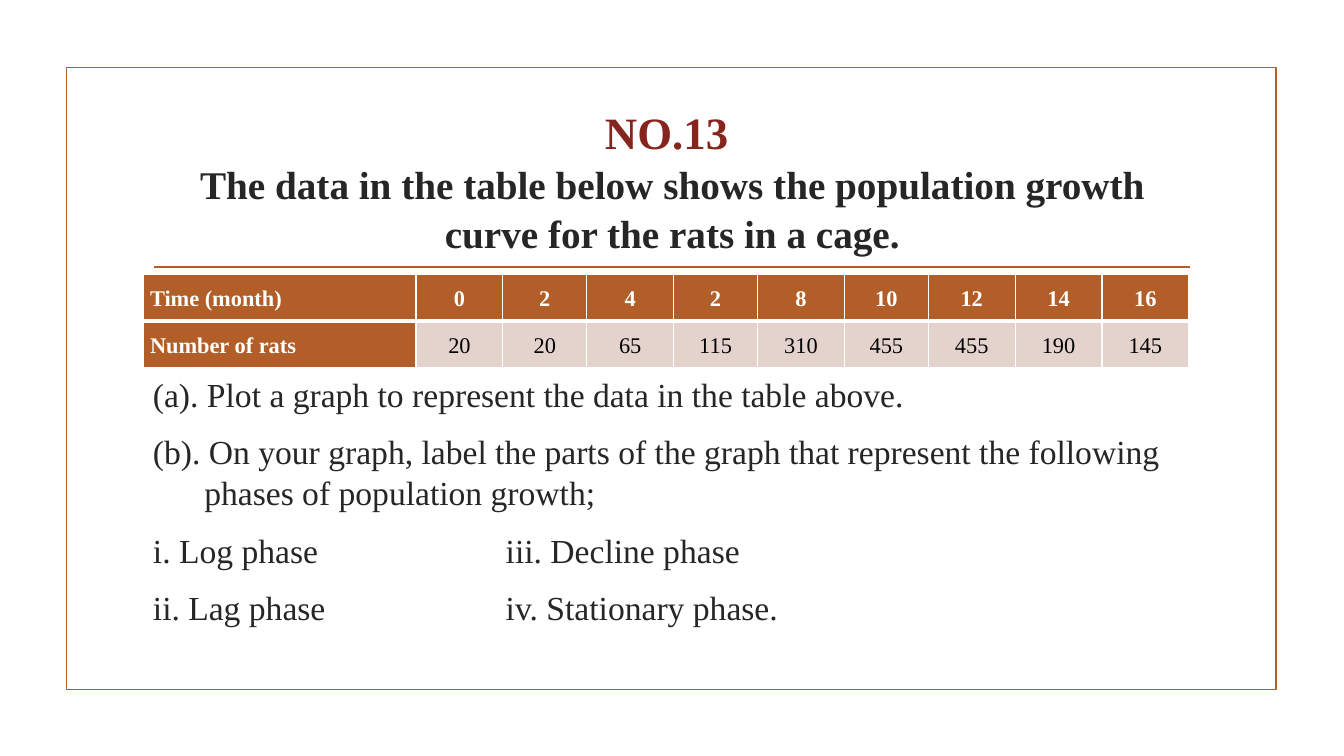
import pptx
import pptx.util
import pptx.dml.color
import pptx.enum.shapes
import pptx.enum.text
import pptx.oxml
import pptx.oxml.ns
from lxml import etree

Pt = pptx.util.Pt
ALIGN = pptx.enum.text.PP_ALIGN
ANCHOR = pptx.enum.text.MSO_ANCHOR

# Content
NUMBER = "NO.13 "
HEADING = "The data in the table below shows the population growth curve for the rats in a cage."
QUESTIONS = [
    ("(a). Plot a graph to represent the data in the table above.", 0),
    ("(b). On your graph, label the parts of the graph that represent the following "
     "phases of population growth;", 36.7),
    ("i. Log phase\tiii. Decline phase", 0),
    ("ii. Lag phase\tiv. Stationary phase.", 0),
]
RATS = [
    ("Time (month)", 0, 2, 4, 2, 8, 10, 12, 14, 16),
    ("Number of rats", 20, 20, 65, 115, 310, 455, 455, 190, 145),
]

THEME = {
    "font": "Times New Roman",
    "accent": "B15E28", "number": "85251E", "text": "262626",
    "pale": "E4D2CD", "white": "FFFFFF", "black": "000000",
    "number_size": 32, "heading_size": 28, "body_size": 24, "table_size": 16,
    "line": 1.25,
}

# Layout in points: left, top, width, height
FRAME = (47.5, 48.2, 864, 444.3)
TITLE = (102.2, 77, 756, 103)
RULE = (110.2, 190.8, 850.3, 190.8)
BODY = (102.2, 262.1, 756, 208.8)
TABLE_AT = (102.2, 195.8)
COLUMNS = [195, 62, 60, 62, 60, 62, 60, 62, 62, 62]
ROW_HEIGHT = 33.3
SECOND_COLUMN_TAB = 252


def color(name):
    return pptx.dml.color.RGBColor.from_string(THEME[name])


def points(values):
    return [Pt(value) for value in values]


def apply(target, formats):
    for name, value in formats.items():
        setattr(target, name, value)


def add_span(para, text, size, ink, bold=False):
    span = para.add_run()
    span.text = text
    apply(span.font, {"name": THEME["font"], "size": Pt(THEME[size]), "bold": bold})
    span.font.color.rgb = color(ink)


def add_tab(para, position):
    properties = para._p.get_or_add_pPr()
    tabs = etree.SubElement(properties, pptx.oxml.ns.qn("a:tabLst"))
    etree.SubElement(tabs, pptx.oxml.ns.qn("a:tab"), pos=str(Pt(position)), algn="l")


def set_border(cell, side, width):
    properties = cell._tc.get_or_add_tcPr()
    edge = pptx.oxml.parse_xml(
        f'<a:ln{side} {pptx.oxml.ns.nsdecls("a")} w="{Pt(width)}"><a:solidFill>'
        f'<a:srgbClr val="{THEME["white"]}"/></a:solidFill></a:ln{side}>')
    properties.append(edge)


def add_frame(page):
    frame = page.shapes.add_shape(pptx.enum.shapes.MSO_SHAPE.RECTANGLE, *points(FRAME))
    frame.shadow.inherit = False
    frame.fill.background()
    rule = page.shapes.add_connector(pptx.enum.shapes.MSO_CONNECTOR.STRAIGHT, *points(RULE))
    etree.SubElement(rule._element.spPr, pptx.oxml.ns.qn("a:effectLst"))
    for shape in (frame, rule):
        shape.line.color.rgb = color("accent")
        shape.line.width = Pt(THEME["line"])


def add_title(page):
    title = page.shapes.title
    apply(title, dict(zip(("left", "top", "width", "height"), points(TITLE))))
    apply(title.text_frame, {"word_wrap": True, "vertical_anchor": ANCHOR.MIDDLE,
                             "auto_size": pptx.enum.text.MSO_AUTO_SIZE.NONE})
    para = title.text_frame.paragraphs[0]
    apply(para, {"alignment": ALIGN.CENTER, "line_spacing": 1.04})
    add_span(para, NUMBER, "number_size", "number", True)
    para.add_line_break()
    add_span(para, HEADING, "heading_size", "text", True)


def add_questions(page):
    box = page.shapes.add_textbox(*points(BODY))
    box.text_frame.word_wrap = True
    for index, (text, hang) in enumerate(QUESTIONS):
        para = box.text_frame.paragraphs[0] if index == 0 else box.text_frame.add_paragraph()
        apply(para, {"space_before": Pt(4.8), "space_after": Pt(6), "line_spacing": 1.04})
        if hang:
            properties = para._p.get_or_add_pPr()
            properties.set("marL", str(Pt(hang)))
            properties.set("indent", str(-Pt(hang)))
        if "\t" in text:
            add_tab(para, SECOND_COLUMN_TAB)
        add_span(para, text, "body_size", "text")


def add_rat_table(page):
    size = (sum(COLUMNS), ROW_HEIGHT * len(RATS))
    table = page.shapes.add_table(len(RATS), len(COLUMNS), *points(TABLE_AT + size)).table
    apply(table, {"first_col": True, "horz_banding": False})
    for column, width in zip(table.columns, COLUMNS):
        column.width = Pt(width)
    for r, values in enumerate(RATS):
        table.rows[r].height = Pt(ROW_HEIGHT)
        for c, value in enumerate(values):
            cell = table.cell(r, c)
            header = r == 0 or c == 0
            apply(cell, {"margin_left": Pt(5), "margin_right": Pt(5), "margin_top": 0,
                         "margin_bottom": 0, "vertical_anchor": ANCHOR.MIDDLE})
            # Thick white gap between the two rows, thin elsewhere
            for side, width in {"L": 1, "R": 1, "T": 3 if r else 1, "B": 1 if r else 3}.items():
                set_border(cell, side, width)
            cell.fill.solid()
            cell.fill.fore_color.rgb = color("accent" if header else "pale")
            para = cell.text_frame.paragraphs[0]
            apply(para, {"alignment": ALIGN.CENTER if c else ALIGN.JUSTIFY,
                         "line_spacing": 1.15, "space_before": Pt(12)})
            add_span(para, str(value), "table_size", "white" if header else "black", header)


def main():
    deck = pptx.Presentation()
    apply(deck, {"slide_width": Pt(960), "slide_height": Pt(540)})
    page = deck.slides.add_slide(deck.slide_layouts.get_by_name("Title Only"))
    add_frame(page)
    add_title(page)
    add_questions(page)
    add_rat_table(page)
    deck.save("out.pptx")


if __name__ == "__main__":
    main()
